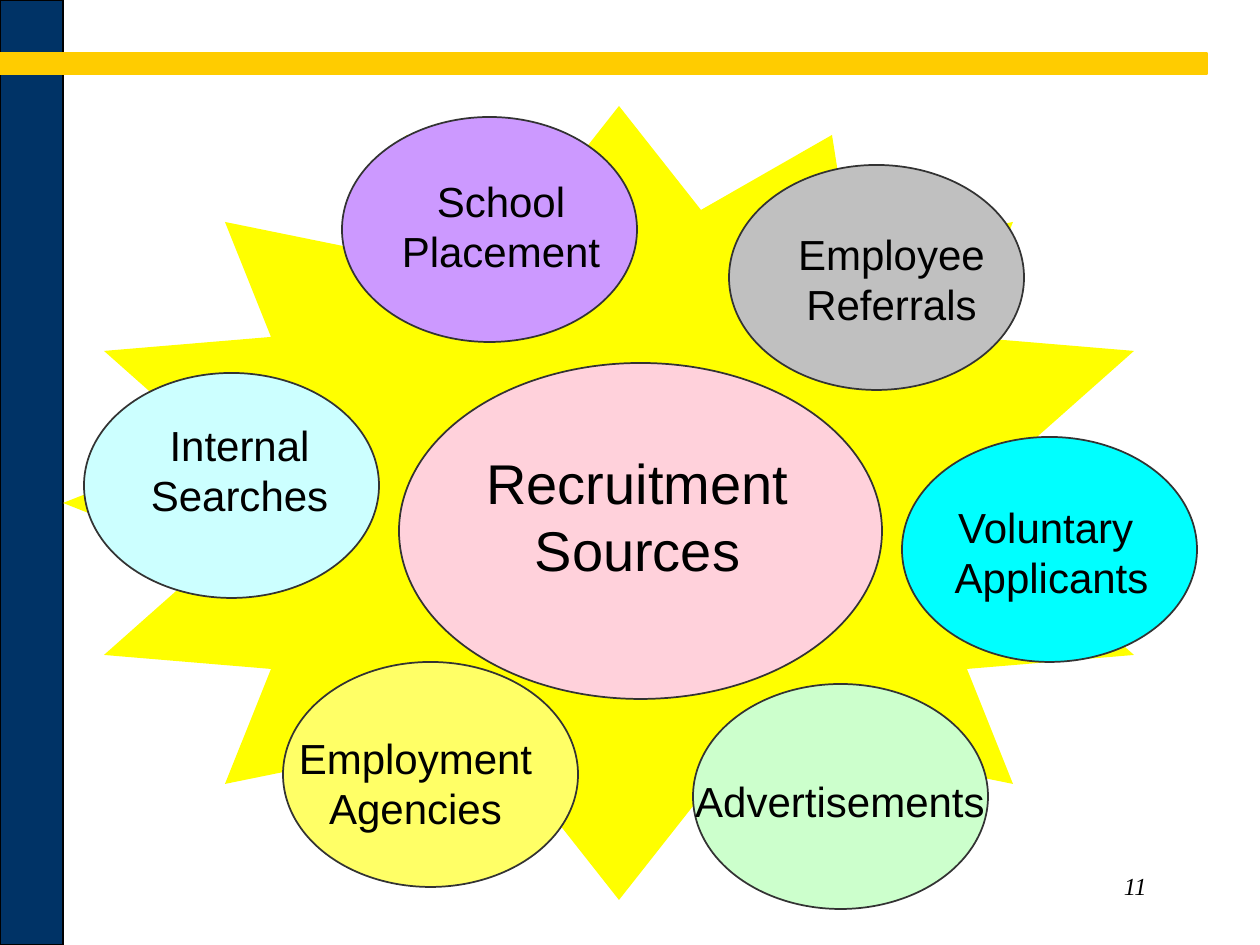
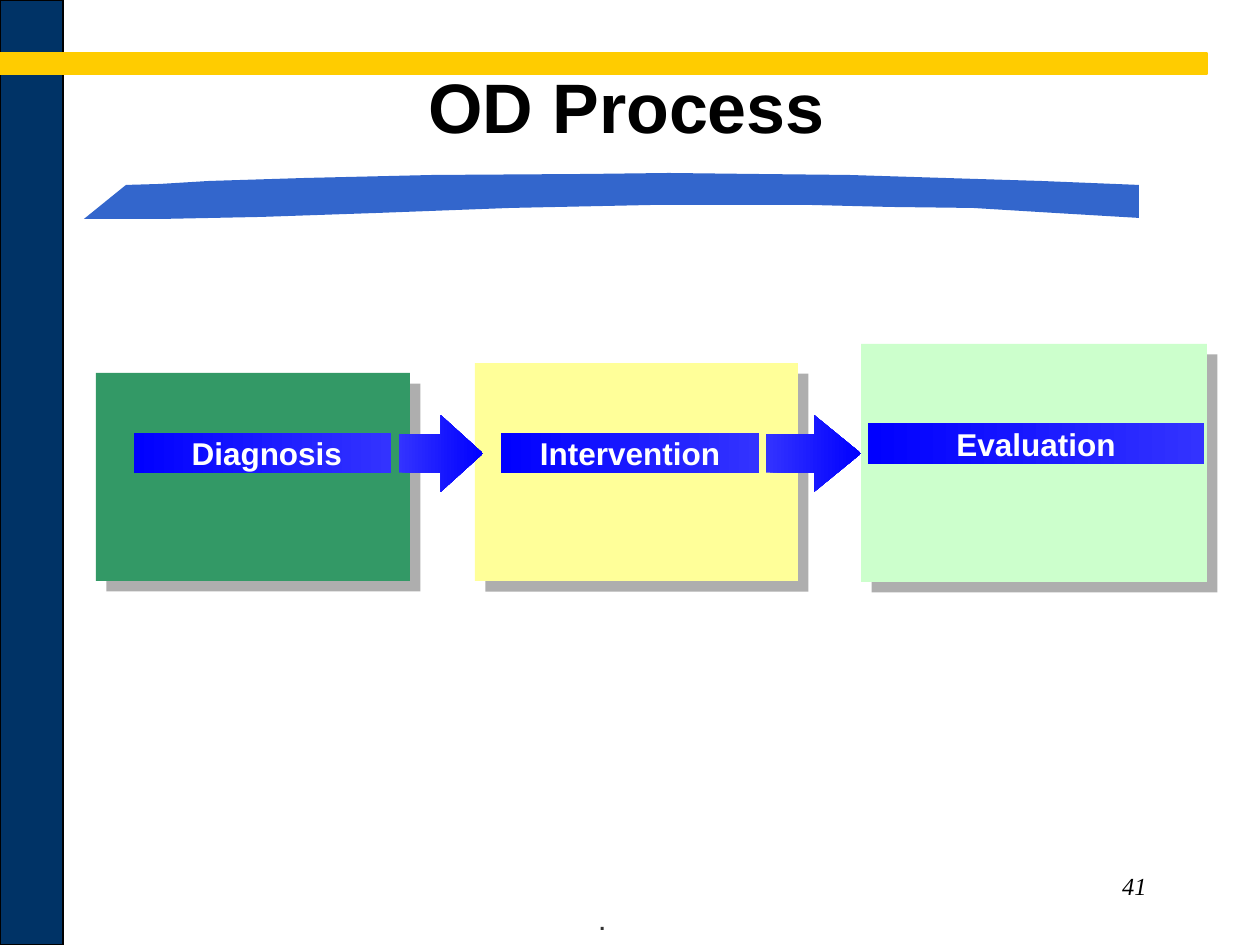
"""Build two slides: recruitment sources around a star, and the OD process."""
from lxml.etree import SubElement
from pptx import Presentation
from pptx.dml.color import RGBColor
from pptx.enum.shapes import MSO_SHAPE
from pptx.enum.text import MSO_ANCHOR, PP_ALIGN
from pptx.oxml.ns import qn
from pptx.util import Pt

PX = 914400 / 126
SLIDE_SIZE = (1260, 945)

BLACK = RGBColor(0x00, 0x00, 0x00)
WHITE = RGBColor(0xFF, 0xFF, 0xFF)
NAVY = RGBColor(0x00, 0x33, 0x66)
GOLD = RGBColor(0xFF, 0xCC, 0x00)
YELLOW = RGBColor(0xFF, 0xFF, 0x00)
CHARCOAL = RGBColor(0x33, 0x33, 0x33)
PINK = RGBColor(0xFF, 0xD1, 0xDB)
ICE = RGBColor(0xCC, 0xFF, 0xFF)
SILVER = RGBColor(0xC0, 0xC0, 0xC0)
CYAN = RGBColor(0x00, 0xFF, 0xFF)
LEMON = RGBColor(0xFF, 0xFF, 0x66)
MINT = RGBColor(0xCC, 0xFF, 0xCC)
LILAC = RGBColor(0xCC, 0x99, 0xFF)
GREEN = RGBColor(0x33, 0x99, 0x66)
CREAM = RGBColor(0xFF, 0xFF, 0x99)
BRUSH_BLUE = RGBColor(0x33, 0x66, 0xCC)
DEEP_BLUE = RGBColor(0x00, 0x00, 0xFF)
BRIGHT_BLUE = RGBColor(0x33, 0x33, 0xFF)

HUB = ("Recruitment\nSources", PINK, (399, 363, 483, 336), (408, 442, 459, 146))
SOURCE_SIZE = (295, 225)
SOURCES = [
    ("Internal\nSearches", ICE, (84, 373), (123, 413, 233)),
    ("Employee\nReferrals", SILVER, (729, 165), (749, 222, 285)),
    ("Voluntary \nApplicants", CYAN, (902, 437), (942, 495, 219)),
    ("Employment\nAgencies", LEMON, (283, 662), (273, 726, 285)),
    ("Advertisements", MINT, (693, 684), (682, 769, 316)),
    ("School\nPlacement", LILAC, (342, 117), (353, 169, 296)),
]
LINE_HEIGHT = 57

STAR_CENTRE = (619, 503)
STAR_QUARTER = [(0, 397), (82, 293), (213, 368), (232, 248), (394, 281),
                (348, 166), (515, 152), (409, 58), (556, 0)]

BRUSH = [(126, 185), (160, 184), (209, 181), (306, 178), (433, 175), (585, 174),
         (669, 173), (756, 174), (849, 175), (944, 178), (1041, 181), (1139, 185),
         (1139, 218), (1055, 213), (973, 208), (891, 207), (809, 205), (654, 205),
         (510, 208), (377, 213), (261, 217), (163, 219), (84, 219)]

PROCESS_TITLE = "OD Process"
STAGES = [
    (" Diagnosis", GREEN, (96, 373, 314, 208), (134, 433, 257, 40)),
    ("Evaluation", MINT, (861, 344, 346, 238), (868, 423, 336, 41)),
    ("Intervention", CREAM, (475, 363, 323, 218), (501, 433, 258, 40)),
]
ARROWS = [((399, 415, 84, 77), 0.55), ((766, 415, 95, 77), 0.61)]


def emu(lengths):
    return [round(length * PX) for length in lengths]


def write(holder, text, size, color=BLACK, font="Arial", bold=False, italic=False,
          align=PP_ALIGN.CENTER, anchor=MSO_ANCHOR.TOP, wrap=False):
    frame = holder.text_frame
    frame.text = text
    frame.word_wrap = wrap
    frame.vertical_anchor = anchor
    for paragraph in frame.paragraphs:
        paragraph.alignment = align
        paragraph.font.name = font
        paragraph.font.size = Pt(size)
        paragraph.font.bold = bold
        paragraph.font.italic = italic
        paragraph.font.color.rgb = color


def label(slide, box, text, size, **style):
    write(slide.shapes.add_textbox(*emu(box)), text, size, **style)


def paint(shape, fill, outline=None, width=0.75):
    shape.shadow.inherit = False
    if isinstance(fill, list):
        shape.fill.gradient()
        shape.fill.gradient_angle = 0
        for stop, color in zip(shape.fill.gradient_stops, fill):
            stop.color.rgb = color
    else:
        shape.fill.solid()
        shape.fill.fore_color.rgb = fill
    if outline is None:
        shape.line.fill.background()
    else:
        shape.line.color.rgb = outline
        shape.line.width = Pt(width)
    return shape


def draw(slide, kind, box, *style):
    return paint(slide.shapes.add_shape(kind, *emu(box)), *style)


def outline_shape(slide, points, fill):
    builder = slide.shapes.build_freeform(*points[0], scale=PX)
    builder.add_line_segments(points[1:], close=True)
    paint(builder.convert_to_shape(), fill)


def cast_shadow(shape):
    effects = shape._element.spPr.find(qn("a:effectLst"))
    shadow = SubElement(effects, qn("a:outerShdw"), blurRad="0", dist=str(int(Pt(8.5))),
                        dir="2700000", algn="ctr", rotWithShape="0")
    tint = SubElement(shadow, qn("a:srgbClr"), val="5F5F5F")
    SubElement(tint, qn("a:alpha"), val="50000")


def new_slide(deck, layout, number):
    slide = deck.slides.add_slide(deck.slide_layouts[layout])
    draw(slide, MSO_SHAPE.RECTANGLE, (0, 0, 63, 945), NAVY, BLACK)
    draw(slide, MSO_SHAPE.RECTANGLE, (0, 53, 1207, 21), GOLD, GOLD)
    label(slide, (897, 854, 262, 53), number, 14, font="Times New Roman",
          italic=True, align=PP_ALIGN.RIGHT, anchor=MSO_ANCHOR.BOTTOM, wrap=True)
    return slide


def star_points():
    cx, cy = STAR_CENTRE
    upper = [(-x, -y) for x, y in STAR_QUARTER]
    left = upper + [(x, -y) for x, y in upper[-2::-1]]
    right = [(-x, y) for x, y in left[-2:0:-1]]
    return [(cx + x, cy + y) for x, y in left + right]


def recruitment_slide(deck):
    slide = new_slide(deck, 6, "11")
    outline_shape(slide, star_points(), YELLOW)
    text, color, oval, text_box = HUB
    draw(slide, MSO_SHAPE.OVAL, oval, color, CHARCOAL, 1)
    label(slide, text_box, text, 32)
    for text, color, corner, (left, top, width) in SOURCES:
        draw(slide, MSO_SHAPE.OVAL, corner + SOURCE_SIZE, color, CHARCOAL, 1)
        height = LINE_HEIGHT * len(text.split("\n"))
        label(slide, (left, top, width, height), text, 24)


def process_slide(deck):
    slide = new_slide(deck, 5, "41")
    outline_shape(slide, BRUSH, BRUSH_BLUE)
    label(slide, (587, 903, 30, 38), ".", 12, color=CHARCOAL, bold=True,
          anchor=MSO_ANCHOR.MIDDLE)
    title = slide.shapes.title
    title.left, title.top, title.width, title.height = emu((91, 42, 1071, 127))
    write(title, PROCESS_TITLE, 40, bold=True, anchor=MSO_ANCHOR.MIDDLE, wrap=True)
    for _, color, panel, _ in STAGES:
        cast_shadow(draw(slide, MSO_SHAPE.RECTANGLE, panel, color))
    for name, _, _, banner in STAGES:
        plate = draw(slide, MSO_SHAPE.RECTANGLE, banner, [DEEP_BLUE, BRIGHT_BLUE])
        write(plate, name, 18, color=WHITE, bold=True, anchor=MSO_ANCHOR.MIDDLE)
    for box, head in ARROWS:
        arrow = draw(slide, MSO_SHAPE.RIGHT_ARROW, box, [BRIGHT_BLUE, DEEP_BLUE])
        arrow.adjustments[1] = head


def main():
    deck = Presentation()
    deck.slide_width, deck.slide_height = emu(SLIDE_SIZE)
    recruitment_slide(deck)
    process_slide(deck)
    deck.save("out.pptx")


if __name__ == "__main__":
    main()
